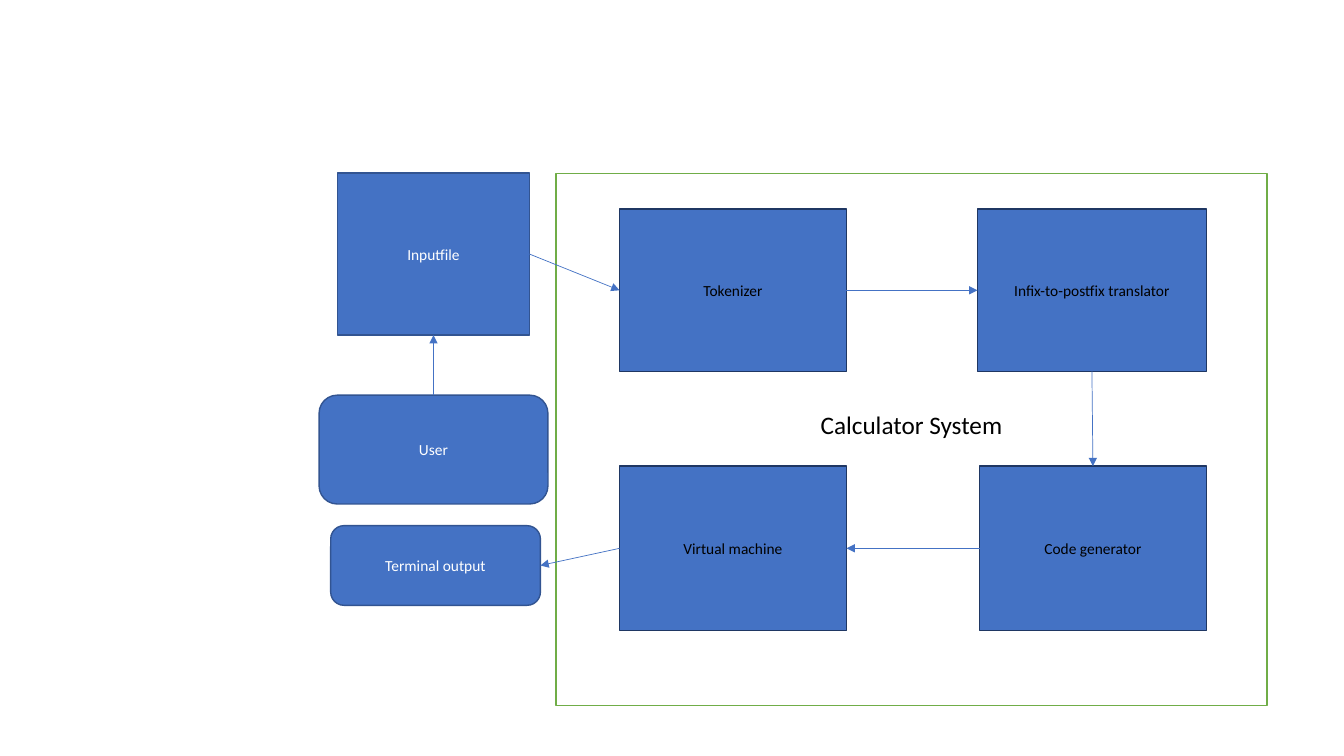
"""Builds a slide with the block diagram of a calculator system."""
from lxml.etree import SubElement
from pptx import Presentation
from pptx.dml.color import RGBColor
from pptx.enum.shapes import MSO_CONNECTOR, MSO_SHAPE
from pptx.enum.text import MSO_ANCHOR, PP_ALIGN
from pptx.oxml.ns import qn
from pptx.util import Inches, Pt

WHITE, BLACK, BLUE, GREEN = "FFFFFF", "000000", "4472C4", "70AD47"
NAVY, STEEL = "1F3763", "325491"
RECT, ROUND = MSO_SHAPE.RECTANGLE, MSO_SHAPE.ROUNDED_RECTANGLE
TOP, LEFT, BOTTOM, RIGHT = range(4)

SYSTEM = ("Calculator System", RECT, 9.04, 4.36, 7.05, 5.28)
STAGES = [
    ("Tokenizer", RECT, 7.27, 2.88, 2.25, 1.61),
    ("Infix-to-postfix translator", RECT, 10.83, 2.88, 2.27, 1.61),
    ("Code generator", RECT, 10.84, 5.44, 2.25, 1.63),
    ("Virtual machine", RECT, 7.27, 5.44, 2.25, 1.63),
]
OUTSIDE = [
    ("Inputfile", RECT, 4.3, 2.52, 1.9, 1.61),
    ("User", ROUND, 4.3, 4.46, 2.27, 1.08),
    ("Terminal output", ROUND, 4.32, 5.61, 2.08, 0.79),
]
FLOW = [
    ("User", TOP, "Inputfile", BOTTOM),
    ("Inputfile", RIGHT, "Tokenizer", LEFT),
    ("Tokenizer", RIGHT, "Infix-to-postfix translator", LEFT),
    ("Infix-to-postfix translator", BOTTOM, "Code generator", TOP),
    ("Code generator", LEFT, "Virtual machine", RIGHT),
    ("Virtual machine", LEFT, "Terminal output", RIGHT),
]


def rgb(value):
    """Turn a hex string into a colour."""
    return RGBColor.from_string(value)


def add_block(s, block, fill, line, color, size=11):
    """Draw a labelled block around its centre."""
    label, kind, cx, cy, w, h = block
    sp = s.shapes.add_shape(kind, Inches(cx - w / 2), Inches(cy - h / 2),
                            Inches(w), Inches(h))
    sp.shadow.inherit = False
    sp.fill.solid()
    sp.fill.fore_color.rgb = rgb(fill)
    sp.line.color.rgb = rgb(line)
    sp.line.width = Pt(1)
    tf = sp.text_frame
    tf.text = label
    tf.word_wrap = True
    tf.vertical_anchor = MSO_ANCHOR.MIDDLE
    p = tf.paragraphs[0]
    p.alignment = PP_ALIGN.CENTER
    font = p.runs[0].font
    font.name, font.size, font.color.rgb = "Calibri", Pt(size), rgb(color)
    return sp


def add_arrow(s, start, start_side, end, end_side):
    """Join two blocks with an arrow."""
    c = s.shapes.add_connector(MSO_CONNECTOR.STRAIGHT, 0, 0, 0, 0)
    c.begin_connect(start, start_side)
    c.end_connect(end, end_side)
    c.line.color.rgb = rgb(BLUE)
    c.line.width = Pt(0.5)
    SubElement(c.line._get_or_add_ln(), qn("a:tailEnd"), type="triangle")
    SubElement(c._element.spPr, qn("a:effectLst"))


prs = Presentation()
prs.slide_width, prs.slide_height = Inches(13.33), Inches(7.5)
s = prs.slides.add_slide(prs.slide_layouts[6])

system = add_block(s, SYSTEM, WHITE, GREEN, BLACK, 18)
system.text_frame.margin_bottom = Inches(0.35)

blocks = {}
for group, line, color in [(STAGES, NAVY, BLACK), (OUTSIDE, STEEL, WHITE)]:
    for block in group:
        blocks[block[0]] = add_block(s, block, BLUE, line, color)

for start, start_side, end, end_side in FLOW:
    add_arrow(s, blocks[start], start_side, blocks[end], end_side)

prs.save("out.pptx")
